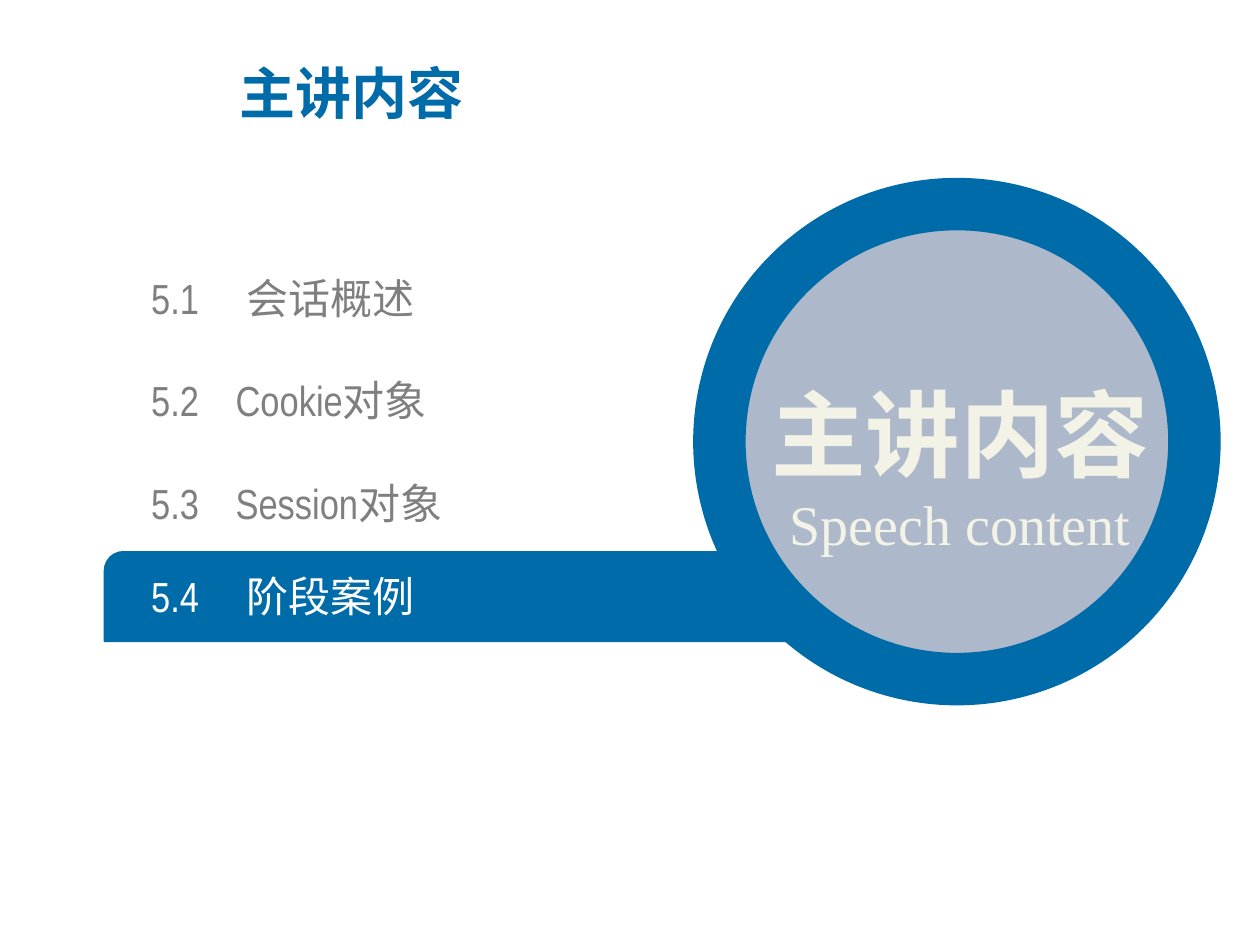
from dataclasses import dataclass

from lxml.etree import SubElement
from pptx import Presentation
from pptx.dml.color import RGBColor
from pptx.enum.shapes import MSO_SHAPE as Shape
from pptx.enum.text import MSO_ANCHOR as Anchor, PP_ALIGN as Align
from pptx.oxml.ns import qn
from pptx.util import Inches, Pt

BLUE = RGBColor(0x00, 0x6B, 0xA9)
GREY_BLUE = RGBColor(0xAD, 0xB9, 0xCA)
GREY = RGBColor(0x7F, 0x7F, 0x7F)
CREAM = RGBColor(0xF2, 0xF2, 0xE6)
WHITE = RGBColor(0xFF, 0xFF, 0xFF)
CJK_FONT = "Noto Sans CJK SC"


@dataclass
class Section:
    number: str
    name: str
    top: float
    name_offset: float
    width: float = 4.19
    color: RGBColor = GREY


FIRST_TOP, PITCH = 2.16, 0.815
LATIN_OFFSET, CJK_OFFSET = 0.67, 0.76
SECTIONS = [
    Section("5.1", "会话概述", FIRST_TOP, CJK_OFFSET),
    Section("5.2", "Cookie对象", FIRST_TOP + PITCH, LATIN_OFFSET),
    Section("5.3", "Session对象", FIRST_TOP + 2 * PITCH, LATIN_OFFSET),
    Section("5.4", "阶段案例", 4.53, CJK_OFFSET, 5.85, WHITE),
]


def style_paragraph(paragraph, font: str, size: float, color: RGBColor,
                    bold: bool = False) -> None:
    for run in paragraph.runs:
        run.font.name = font
        run.font.size = Pt(size)
        run.font.bold = bold
        run.font.color.rgb = color
        SubElement(run.font._element, qn("a:ea"), typeface=CJK_FONT)


def add_filled_shape(slide, kind: Shape, left: float, top: float, width: float,
                     height: float, fill: RGBColor, line_width: float):
    shape = slide.shapes.add_shape(
        kind, Inches(left), Inches(top), Inches(width), Inches(height))
    shape.shadow.inherit = False
    shape.fill.solid()
    shape.fill.fore_color.rgb = fill
    shape.line.color.rgb = BLUE
    shape.line.width = Pt(line_width)
    return shape


def add_text_frame(slide, left: float, top: float, width: float, height: float):
    box = slide.shapes.add_textbox(
        Inches(left), Inches(top), Inches(width), Inches(height))
    frame = box.text_frame
    frame.word_wrap = True
    frame.vertical_anchor = Anchor.MIDDLE
    return frame


def add_section(slide, section: Section) -> None:
    """Write the number, then the name at a tab stop."""
    frame = add_text_frame(slide, 1.2, section.top, section.width, 0.4)
    frame.margin_left = frame.margin_right = 0
    frame.margin_top = frame.margin_bottom = 0
    frame.text = f"{section.number}\t{section.name}"
    entry = frame.paragraphs[0]
    tabs = SubElement(entry._p.get_or_add_pPr(), qn("a:tabLst"))
    SubElement(tabs, qn("a:tab"), pos=str(Inches(section.name_offset)), algn="l")
    style_paragraph(entry, "Arial Narrow", 24, section.color)


def add_title(slide) -> None:
    title = slide.shapes.title
    title.left, title.top = Inches(1.8), Inches(0.43)
    title.width, title.height = Inches(5.41), Inches(0.61)
    title.text_frame.text = "主讲内容"
    title.text_frame.vertical_anchor = Anchor.MIDDLE
    heading = title.text_frame.paragraphs[0]
    heading.alignment = Align.LEFT
    style_paragraph(heading, CJK_FONT, 32, BLUE, bold=True)


def add_circle_caption(slide) -> None:
    frame = add_text_frame(slide, 5.67, 2.48, 3.9, 2)
    frame.text = "主讲内容\nSpeech content"
    chinese, english = frame.paragraphs
    chinese.alignment = english.alignment = Align.CENTER
    chinese.line_spacing = 1.5
    style_paragraph(chinese, CJK_FONT, 54, CREAM, bold=True)
    style_paragraph(english, "Times New Roman", 32, CREAM)


def main() -> None:
    deck = Presentation()
    deck.slide_width, deck.slide_height = Inches(10), Inches(7.5)
    slide = deck.slides.add_slide(deck.slide_layouts[5])

    add_title(slide)
    highlight = add_filled_shape(
        slide, Shape.ROUND_2_DIAG_RECTANGLE, 0.83, 4.38, 5.98, 0.71, BLUE, 1)
    highlight.adjustments[0] = 0.21
    highlight.adjustments[1] = 0
    add_filled_shape(slide, Shape.OVAL, 5.71, 1.62, 3.77, 3.77, GREY_BLUE, 30)
    add_circle_caption(slide)
    for section in SECTIONS:
        add_section(slide, section)

    deck.save("out.pptx")


if __name__ == "__main__":
    main()
